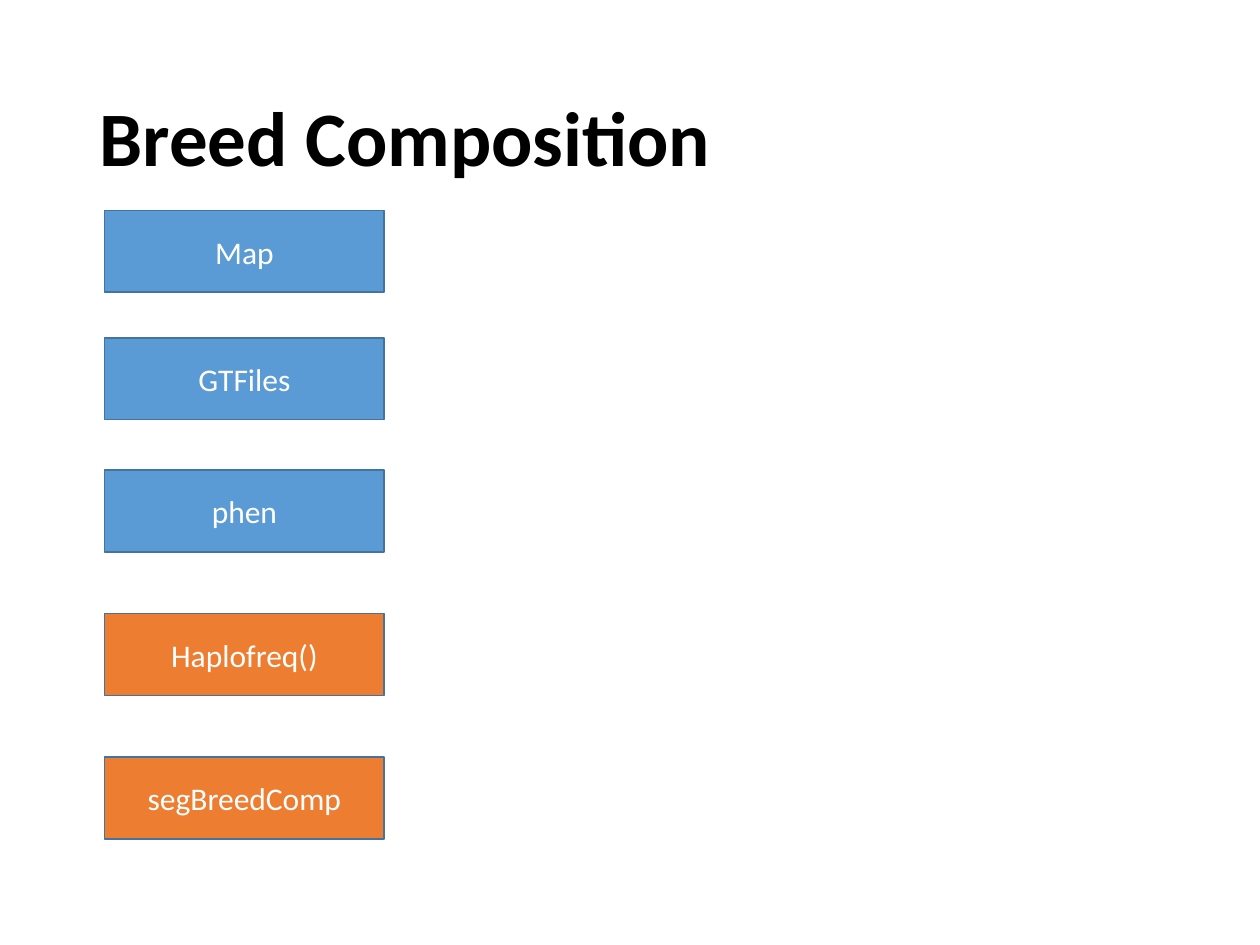
from pptx import Presentation
from pptx.dml import color
from pptx.enum import shapes, text
from pptx.util import Inches, Pt

FONT = "Calibri"
INPUT, FUNCTION = "5B9BD5", "ED7D31"
STEPS = [
    ("Map", 1.67, INPUT),
    ("GTFiles", 2.68, INPUT),
    ("phen", 3.73, INPUT),
    ("Haplofreq()", 4.87, FUNCTION),
    ("segBreedComp", 6.01, FUNCTION),
]


def paint(color_format, hex_color):
    color_format.rgb = color.RGBColor.from_string(hex_color)


def format_text(shape, wording, size, hex_color, alignment, bold=False):
    frame = shape.text_frame
    frame.text = wording
    frame.word_wrap = True
    frame.auto_size = text.MSO_AUTO_SIZE.NONE
    frame.vertical_anchor = text.MSO_ANCHOR.MIDDLE
    paragraph = frame.paragraphs[0]
    paragraph.alignment = alignment
    paragraph.font.name = FONT
    paragraph.font.size = Pt(size)
    paragraph.font.bold = bold
    paint(paragraph.font.color, hex_color)
    return paragraph


def place_title(slide, wording, left, top, width, height):
    title = slide.shapes.title
    title.left, title.top = Inches(left), Inches(top)
    title.width, title.height = Inches(width), Inches(height)
    paragraph = format_text(title, wording, 44, "000000", text.PP_ALIGN.LEFT, bold=True)
    paragraph.line_spacing = 0.9


def add_step(slide, wording, fill, left, top, width, height):
    box = slide.shapes.add_shape(
        shapes.MSO_SHAPE.RECTANGLE,
        Inches(left), Inches(top), Inches(width), Inches(height),
    )
    box.shadow.inherit = False
    box.fill.solid()
    paint(box.fill.fore_color, fill)
    paint(box.line.color, "43739E")
    box.line.width = Pt(1)
    format_text(box, wording, 18, "FFFFFF", text.PP_ALIGN.CENTER)


def add_steps(slide, left, width, height):
    for wording, top, fill in STEPS:
        add_step(slide, wording, fill, left, top, width, height)


def main():
    presentation = Presentation()
    presentation.slide_width, presentation.slide_height = Inches(10), Inches(7.5)
    slide = presentation.slides.add_slide(presentation.slide_layouts[5])
    place_title(slide, "Breed Composition", 0.69, 0.4, 8.62, 1.45)
    add_steps(slide, 0.83, 2.22, 0.65)
    presentation.save("out.pptx")


if __name__ == "__main__":
    main()
